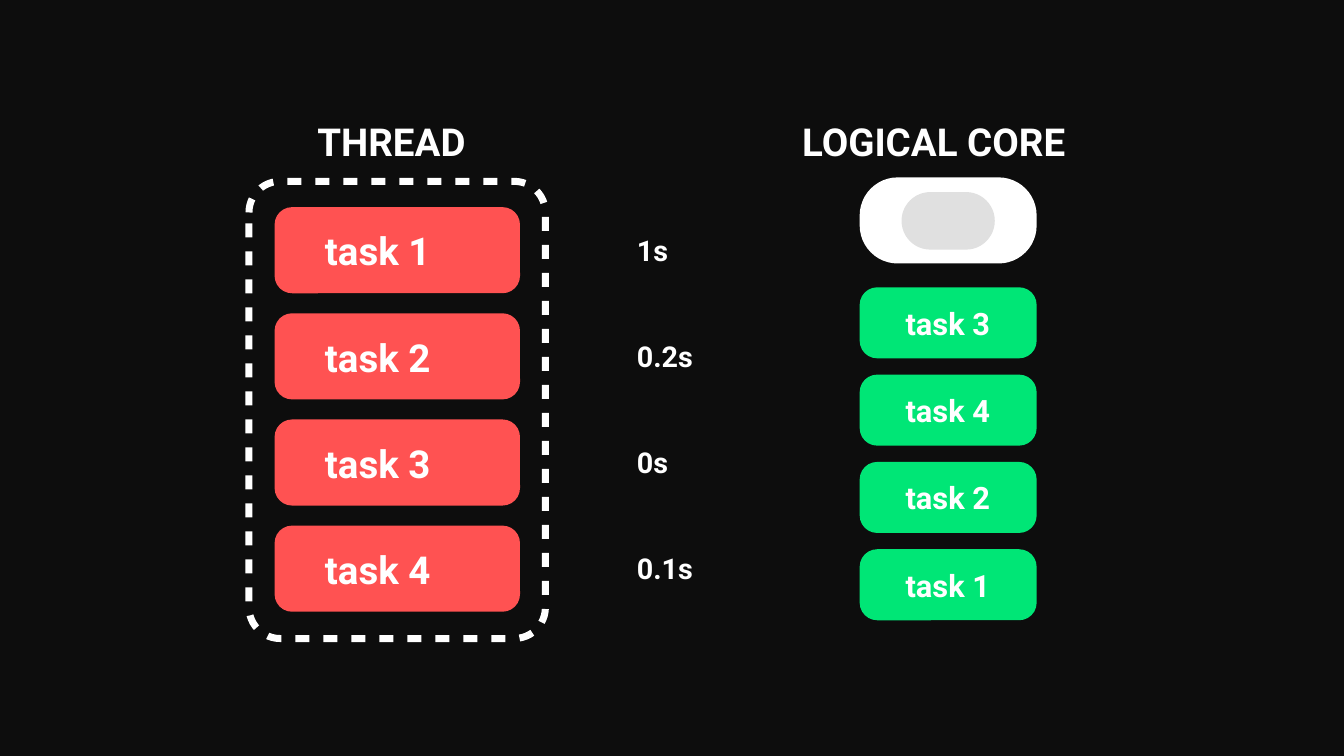
from lxml import etree
from pptx import Presentation
from pptx.dml.color import RGBColor
from pptx.enum import shapes, text
from pptx.oxml.ns import qn
from pptx.util import Cm, Pt

BLACK = RGBColor(0x0D, 0x0D, 0x0D)
WHITE = RGBColor(0xFF, 0xFF, 0xFF)
RED = RGBColor(0xFF, 0x52, 0x52)
GREEN = RGBColor(0x00, 0xE6, 0x76)
GREY = RGBColor(0xE0, 0xE0, 0xE0)

prs = Presentation()
prs.slide_width, prs.slide_height = Cm(67.74), Cm(38.1)
slide = prs.slides.add_slide(prs.slide_layouts[6])
slide.background.fill.solid()
slide.background.fill.fore_color.rgb = BLACK


def add_block(left, top, width, height, rounding, color=None):
    """Add a rounded block without outline; no color leaves it hollow."""
    block = slide.shapes.add_shape(
        shapes.MSO_SHAPE.ROUNDED_RECTANGLE, Cm(left), Cm(top), Cm(width), Cm(height))
    block.adjustments[0] = rounding
    block.shadow.inherit = False
    block.line.fill.background()
    if color is None:
        block.fill.background()
    else:
        block.fill.solid()
        block.fill.fore_color.rgb = color
    return block


def add_label(wording, left, top, width, height, size, align=text.PP_ALIGN.LEFT):
    label = slide.shapes.add_textbox(Cm(left), Cm(top), Cm(width), Cm(height))
    frame = label.text_frame
    frame.word_wrap = True
    frame.vertical_anchor = text.MSO_ANCHOR.MIDDLE
    frame.margin_left = frame.margin_right = Cm(0.15)
    frame.margin_top = frame.margin_bottom = Cm(0.15)
    frame.text = wording
    paragraph = frame.paragraphs[0]
    paragraph.alignment = align
    font = paragraph.runs[0].font
    font.name, font.size, font.bold = "Roboto", Pt(size), True
    font.color.rgb = WHITE


# Thread: dashed frame around the queued tasks, with their durations beside it
thread = add_block(12.55, 9.14, 14.94, 23.04, 0.105)
thread.line.color.rgb = WHITE
thread.line.width = Pt(10)
dashes = etree.SubElement(thread.line._get_or_add_ln(), qn("a:custDash"))
etree.SubElement(dashes, qn("a:ds"), d="200000", sp="200000")

add_label("THREAD", 15.85, 5.66, 8.33, 2.9, 55)
queue = [("task 1", "1s"), ("task 2", "0.2s"), ("task 3", "0s"), ("task 4", "0.1s")]
for row, (task, duration) in enumerate(queue):
    top = 10.44 + row * 5.35
    add_block(13.84, top, 12.37, 4.34, 0.203, RED)
    add_label(task, 16.23, top + 0.74, 7.57, 2.9, 55)
    add_label(duration, 31.95, top + 1.09, 3.89, 2.13, 41)

# Logical core: the core itself, then the tasks in the order they finish
add_label("LOGICAL CORE", 40.28, 5.66, 14.99, 2.9, 55)
add_block(43.33, 8.94, 8.92, 4.34, 0.442, WHITE)
add_block(45.44, 9.68, 4.7, 2.9, 0.5, GREY)
for row, task in enumerate(["task 3", "task 4", "task 2", "task 1"]):
    top = 14.48 + row * 4.4
    add_block(43.33, top, 8.92, 3.58, 0.247, GREEN)
    add_label(task, 43.99, top + 0.51, 7.57, 2.57, 44, text.PP_ALIGN.CENTER)

prs.save("out.pptx")
